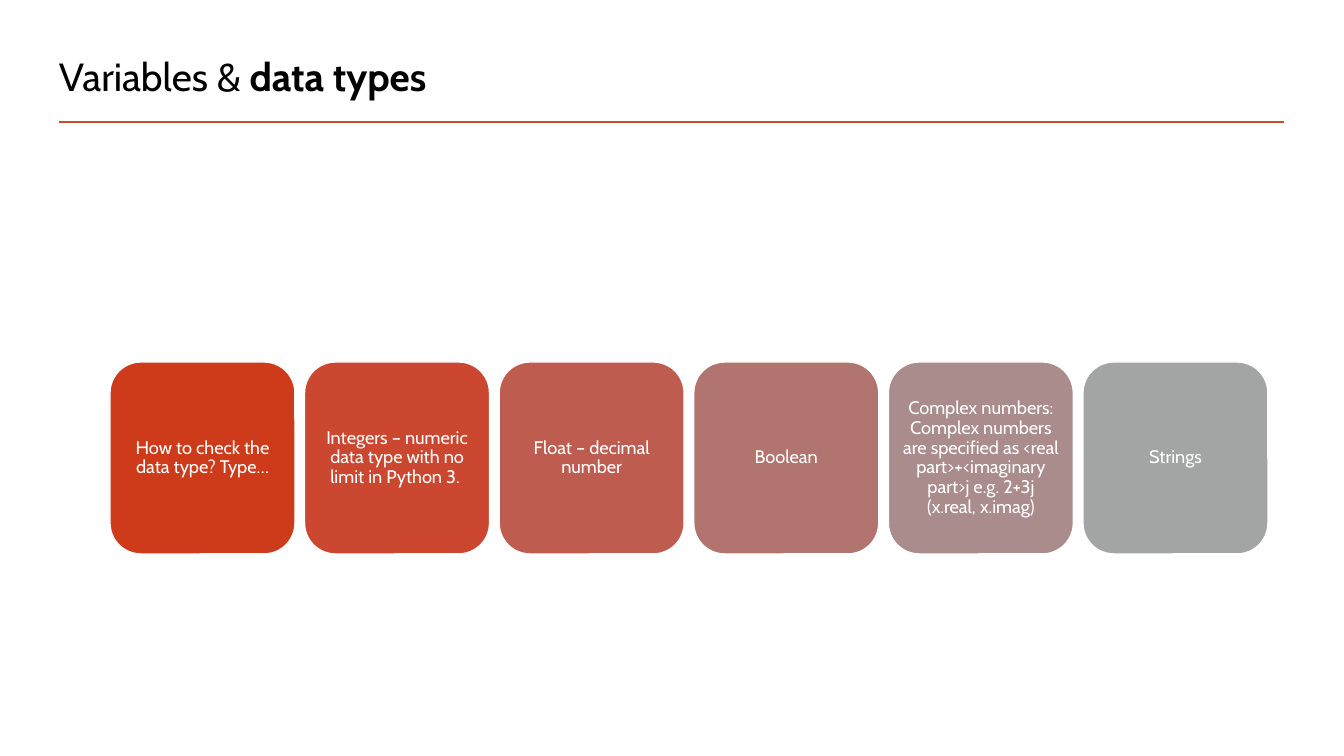
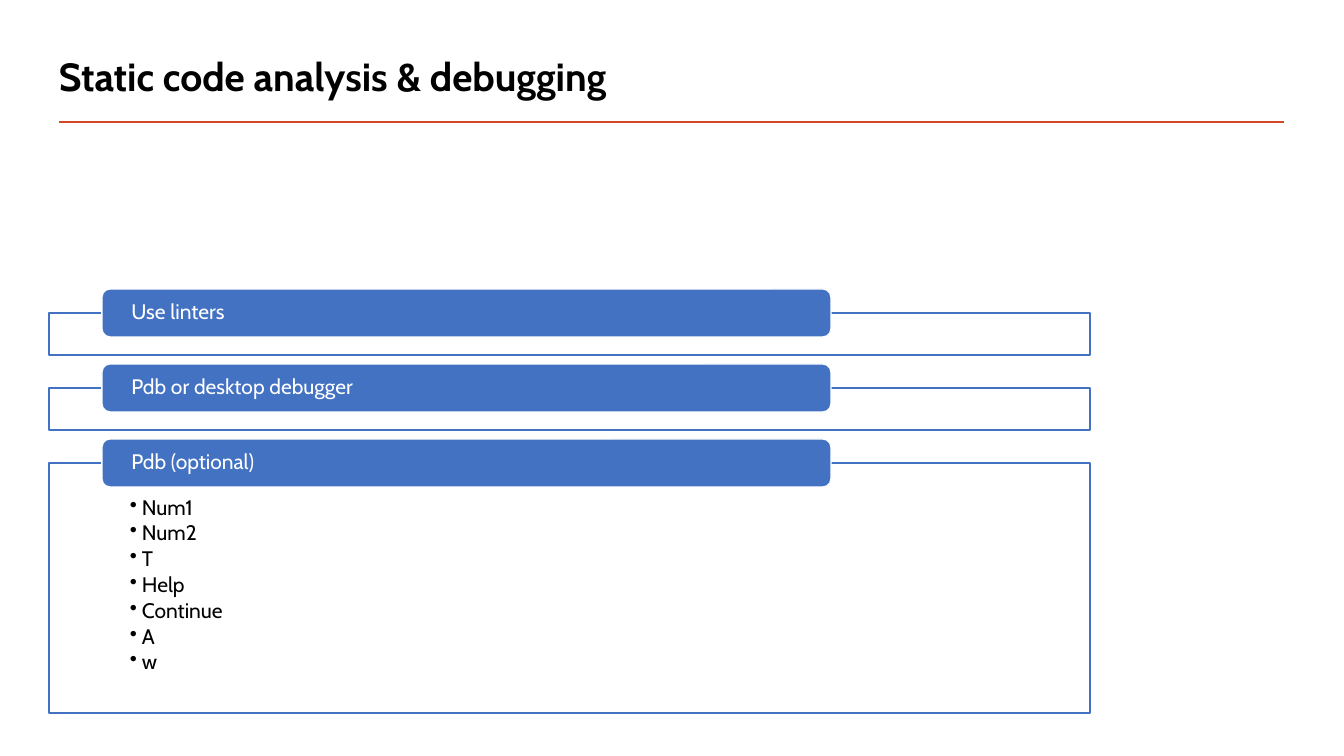
from lxml.etree import SubElement
from pptx import Presentation
from pptx.dml.color import RGBColor
from pptx.enum.shapes import MSO_CONNECTOR, MSO_SHAPE
from pptx.enum.text import MSO_ANCHOR, PP_ALIGN
from pptx.oxml.ns import qn
from pptx.util import Emu, Pt

COLORS = {"accent": "D24726", "text": "000000", "white": "FFFFFF", "blue": "4372C3"}
FONT = "Cabin"


def px(count):
    return Emu(round(count * 914400 / 100.8))


def add_block(page, preset, bounds, fill, line, texts, size, ink, align, insets):
    """Add a filled shape with one paragraph per text; insets run left, top, right, bottom."""
    block = page.shapes.add_shape(preset, *[px(length) for length in bounds])
    block.shadow.inherit = False
    block.fill.solid()
    block.fill.fore_color.rgb = RGBColor.from_string(fill)
    block.line.color.rgb = RGBColor.from_string(line)
    block.line.width = Pt(1)
    frame = block.text_frame
    frame.word_wrap = True
    frame.margin_left, frame.margin_top, frame.margin_right, frame.margin_bottom = map(px, insets)
    for index, text in enumerate(texts):
        para = frame.paragraphs[0] if index == 0 else frame.add_paragraph()
        para.text = text
        para.alignment = align
        para.line_spacing = 0.9
        if index:
            para.space_before = Pt(2.2)
    for para in frame.paragraphs if not bulleted(texts) else []:
        para.font.name, para.font.size = FONT, Pt(size)
        para.font.color.rgb = RGBColor.from_string(ink)
    if bulleted(texts):
        for para in frame.paragraphs:
            props = para._p.get_or_add_pPr()
            props.set("marL", str(px(12)))
            props.set("indent", str(-px(12)))
            SubElement(SubElement(props, qn("a:buClr")), qn("a:srgbClr"), val=ink)
            SubElement(props, qn("a:buChar"), char="•")
            para.font.name, para.font.size = FONT, Pt(size)
            para.font.color.rgb = RGBColor.from_string(ink)
    return block


def bulleted(texts):
    return len(texts) > 1


deck = Presentation()
deck.slide_width, deck.slide_height = px(1344), px(756)

# Title and rule on every slide; each title part is (text, bold)
titles = [
    [("Variables & ", False), ("data types", True)],
    [("Static code analysis & debugging", True)],
]
for title in titles:
    page = deck.slides.add_slide(deck.slide_layouts[6])
    rule = page.shapes.add_connector(MSO_CONNECTOR.STRAIGHT, px(59), px(122), px(1284), px(122))
    rule.line.color.rgb = RGBColor.from_string(COLORS["accent"])
    rule.line.width = Pt(2)
    SubElement(rule._element.spPr, qn("a:effectLst"))
    box = page.shapes.add_textbox(px(49), px(47), px(771), px(71))
    box.text_frame.word_wrap = True
    para = box.text_frame.paragraphs[0]
    para.font.name, para.font.size = FONT, Pt(28)
    para.font.color.rgb = RGBColor.from_string(COLORS["text"])
    for text, bold in title:
        span = para.add_run()
        span.text = text
        span.font.bold = bold
types_page, debug_page = deck.slides

# Data types: a row of equal cards
cards = [
    ("How to check the data type? Type…", "CE3B1A"),
    ("Integers – numeric data type with no limit in Python 3. ", "CB4730"),
    ("Float – decimal number", "BE5C50"),
    ("Boolean", "B2746F"),
    ("Complex numbers: Complex numbers are specified as "
     "<real part>+<imaginary part>j e.g. 2+3j (x.real, x.imag)", "A98C8B"),
    ("Strings", "A3A4A4"),
]
ROW_LEFT, ROW_RIGHT, CARD_WIDTH = 110, 1268, 185
card_pitch = (ROW_RIGHT - ROW_LEFT - CARD_WIDTH) / (len(cards) - 1)
for index, (text, fill) in enumerate(cards):
    card = add_block(types_page, MSO_SHAPE.ROUNDED_RECTANGLE,
                     (ROW_LEFT + index * card_pitch, 362, CARD_WIDTH, 192),
                     fill, COLORS["white"], [text], 13, COLORS["white"],
                     PP_ALIGN.CENTER, (5, 5, 5, 5))
    card.text_frame.vertical_anchor = MSO_ANCHOR.MIDDLE

# Debugging: stacked panels, each with a heading bar over its top edge
panels = [
    ("Use linters", [], 42),
    ("Pdb or desktop debugger", [], 42),
    ("Pdb (optional)", ["Num1", "Num2", "T", "Help", "Continue", "A", "w"], 250),
]
BAR_HEIGHT, PANEL_GAP = 48, 9
bar_top = 289
for heading, items, height in panels:
    panel_top = bar_top + BAR_HEIGHT // 2
    panel = add_block(debug_page, MSO_SHAPE.RECTANGLE, (49, panel_top, 1041, height),
                      COLORS["white"], COLORS["blue"], items, 15, COLORS["text"],
                      PP_ALIGN.LEFT, (81, 34, 81, 12))
    panel.text_frame.vertical_anchor = MSO_ANCHOR.TOP
    panel_color = panel._element.spPr.find(qn("a:solidFill"))[0]
    SubElement(panel_color, qn("a:alpha"), val="89000")
    bar = add_block(debug_page, MSO_SHAPE.ROUNDED_RECTANGLE, (102, bar_top, 729, BAR_HEIGHT),
                    COLORS["blue"], COLORS["white"], [heading], 15, COLORS["white"],
                    PP_ALIGN.LEFT, (27, 0, 27, 0))
    bar.text_frame.vertical_anchor = MSO_ANCHOR.MIDDLE
    bar_top = panel_top + height + PANEL_GAP

deck.save("out.pptx")
